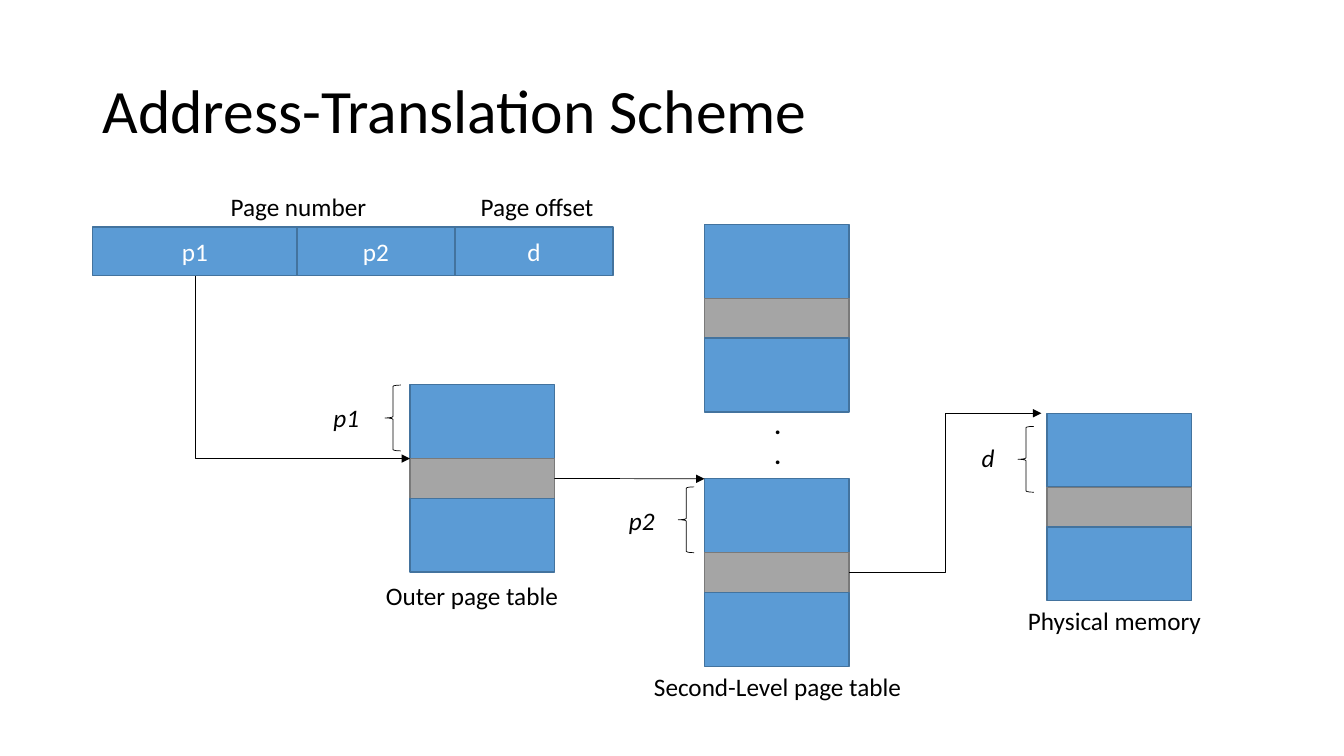
from lxml import etree
from pptx import Presentation
from pptx.dml.color import RGBColor
from pptx.enum.shapes import MSO_CONNECTOR, MSO_SHAPE
from pptx.enum.text import MSO_ANCHOR, MSO_AUTO_SIZE, PP_ALIGN
from pptx.oxml.ns import qn
from pptx.util import Inches, Pt

RECTANGLE, LEFT_BRACE = MSO_SHAPE.RECTANGLE, MSO_SHAPE.LEFT_BRACE
STRAIGHT, ELBOW = MSO_CONNECTOR.STRAIGHT, MSO_CONNECTOR.ELBOW
LEFT, CENTER = PP_ALIGN.LEFT, PP_ALIGN.CENTER
MIDDLE = MSO_ANCHOR.MIDDLE
FIT_TEXT, NO_FIT = MSO_AUTO_SIZE.SHAPE_TO_FIT_TEXT, MSO_AUTO_SIZE.NONE
RIGHT_SIDE = 3

COLORS = {"text": "000000", "inverse": "FFFFFF", "line": "000000",
          "block": "5B9BD5", "block_edge": "43739E",
          "entry": "A5A5A5", "entry_edge": "7A7A7A"}
FONT = "Calibri"

# The slide is a grid of 40 columns by 22.5 rows of square cells
SLIDE_WIDTH, SLIDE_HEIGHT = Inches(13.333), Inches(7.5)
COLUMNS, ROWS = 40, 22.5
TABLE_WIDTH, BLOCK_HEIGHT, ENTRY_HEIGHT = 4.3, 2.2, 1.18
TABLE_HEIGHT = 2 * BLOCK_HEIGHT + ENTRY_HEIGHT


def color(name):
    return RGBColor.from_string(COLORS[name])


def write(frame, text, size=18, ink="text", bold=False, italic=False,
          align=LEFT, spacing=None):
    """Fill a text frame, one paragraph per line of text."""
    for index, line in enumerate(text.split("\n")):
        para = frame.add_paragraph() if index else frame.paragraphs[0]
        para.alignment = align
        if spacing:
            para.line_spacing = spacing
        span = para.add_run()
        span.text = line
        span.font.name, span.font.size = FONT, Pt(size)
        span.font.bold, span.font.italic = bold, italic
        span.font.color.rgb = color(ink)


class Diagram:
    def __init__(self, deck):
        self.page = deck.slides.add_slide(deck.slide_layouts[5])
        self.shapes = self.page.shapes

    def grid(self, left, top, *size):
        """Turn columns and rows into slide lengths."""
        steps = (SLIDE_WIDTH / COLUMNS, SLIDE_HEIGHT / ROWS) * 2
        return [round(value * step)
                for value, step in zip((left, top, *size), steps)]

    def title(self, text, *place):
        box = self.shapes.title
        box.left, box.top, box.width, box.height = self.grid(*place)
        frame = box.text_frame
        frame.vertical_anchor, frame.auto_size = MIDDLE, NO_FIT
        write(frame, text, size=44, spacing=0.9)

    def block(self, *place, kind="block", text=""):
        box = self.shapes.add_shape(RECTANGLE, *self.grid(*place))
        box.shadow.inherit = False
        box.fill.solid()
        box.fill.fore_color.rgb = color(kind)
        box.line.color.rgb = color(kind + "_edge")
        box.line.width = Pt(1)
        if text:
            box.text_frame.vertical_anchor = MIDDLE
            write(box.text_frame, text, ink="inverse", align=CENTER)
        return box

    def table(self, left, top):
        """Stack two blocks around a grey entry, and return the entry."""
        entry_top = top + BLOCK_HEIGHT
        self.block(left, top, TABLE_WIDTH, BLOCK_HEIGHT)
        entry = self.block(left, entry_top, TABLE_WIDTH, ENTRY_HEIGHT, kind="entry")
        self.block(left, entry_top + ENTRY_HEIGHT, TABLE_WIDTH, BLOCK_HEIGHT)
        return entry

    def label(self, text, left, top, width, height=1.21, **style):
        box = self.shapes.add_textbox(*self.grid(left, top, width, height))
        box.text_frame.word_wrap = False
        box.text_frame.auto_size = FIT_TEXT
        write(box.text_frame, text, **style)

    def brace(self, left, top):
        brace = self.shapes.add_shape(LEFT_BRACE, *self.grid(left, top, 0.47, 1.96))
        brace.shadow.inherit = False
        brace.fill.background()
        brace.line.color.rgb = color("line")
        brace.line.width = Pt(0.5)

    def arrow(self, start, end, kind=STRAIGHT):
        arrow = self.shapes.add_connector(kind, *self.grid(*start), *self.grid(*end))
        arrow.line.color.rgb = color("line")
        arrow.line.width = Pt(0.5)
        etree.SubElement(arrow.line._get_or_add_ln(), qn("a:tailEnd"), type="triangle")
        etree.SubElement(arrow._element.spPr, qn("a:effectLst"))
        return arrow

    def corner_arrow(self, start, end):
        """Go straight down, then right, with a single bend."""
        arrow = self.arrow(start, end, ELBOW)
        wide, tall = arrow.width, arrow.height
        arrow.left += (wide - tall) // 2
        arrow.top += (tall - wide) // 2
        arrow.width, arrow.height = tall, wide
        properties = arrow._element.spPr
        frame = properties.find(qn("a:xfrm"))
        frame.set("rot", str(270 * 60000))
        frame.set("flipH", "1")
        properties.find(qn("a:prstGeom")).set("prst", "bentConnector2")


def main():
    deck = Presentation()
    deck.slide_width, deck.slide_height = SLIDE_WIDTH, SLIDE_HEIGHT
    diagram = Diagram(deck)
    diagram.title("Address-Translation Scheme", 2.75, 1.2, 34.5, 4.35)

    # Logical address
    address_left, address_top, address_height = 2.76, 6.76, 1.45
    left = address_left
    for text, width in (("p1", 6.08), ("p2", 4.7), ("d", 4.7)):
        diagram.block(left, address_top, width, address_height, text=text)
        left += width
    diagram.label("Page number", 6.57, 5.55, 4.98)
    diagram.label("Page offset", 14.01, 5.54, 4.26)

    # Page tables and memory
    outer, second, memory = (12.2, 11.45), (20.97, 14.25), (31.16, 12.3)
    outer_entry = diagram.table(*outer)
    diagram.table(second[0], 6.68)
    diagram.table(*second)
    diagram.label(".\n.", 22.75, 12.03, 0.78, 2.13, bold=True)
    diagram.table(*memory)

    # Arrows from each entry to the next table
    diagram.corner_arrow((address_left + 3.04, address_top + address_height),
                         (outer[0], outer[1] + BLOCK_HEIGHT))
    diagram.arrow((second[0] + TABLE_WIDTH, second[1] + TABLE_HEIGHT / 2),
                  (memory[0] - 0.17, memory[1]), ELBOW)
    lookup = diagram.arrow((outer[0] + TABLE_WIDTH, outer[1] + TABLE_HEIGHT / 2), second)
    lookup.begin_connect(outer_entry, RIGHT_SIDE)

    # Offsets into each table
    for text, brace, place in (("p1", (11.46, 11.46), (9.63, 11.82, 1.44)),
                               ("p2", (20.19, 14.49), (18.42, 14.88, 1.44)),
                               ("d", (30.3, 12.69), (28.92, 13.02, 1.05))):
        diagram.brace(*brace)
        diagram.label(text, *place, italic=True)

    # Captions
    diagram.label("Outer page table", 11.19, 17.13, 6.15)
    diagram.label("Second-Level page table", 19.17, 19.83, 8.7)
    diagram.label("Physical memory", 30.3, 17.88, 6.06)

    deck.save("out.pptx")


if __name__ == "__main__":
    main()
